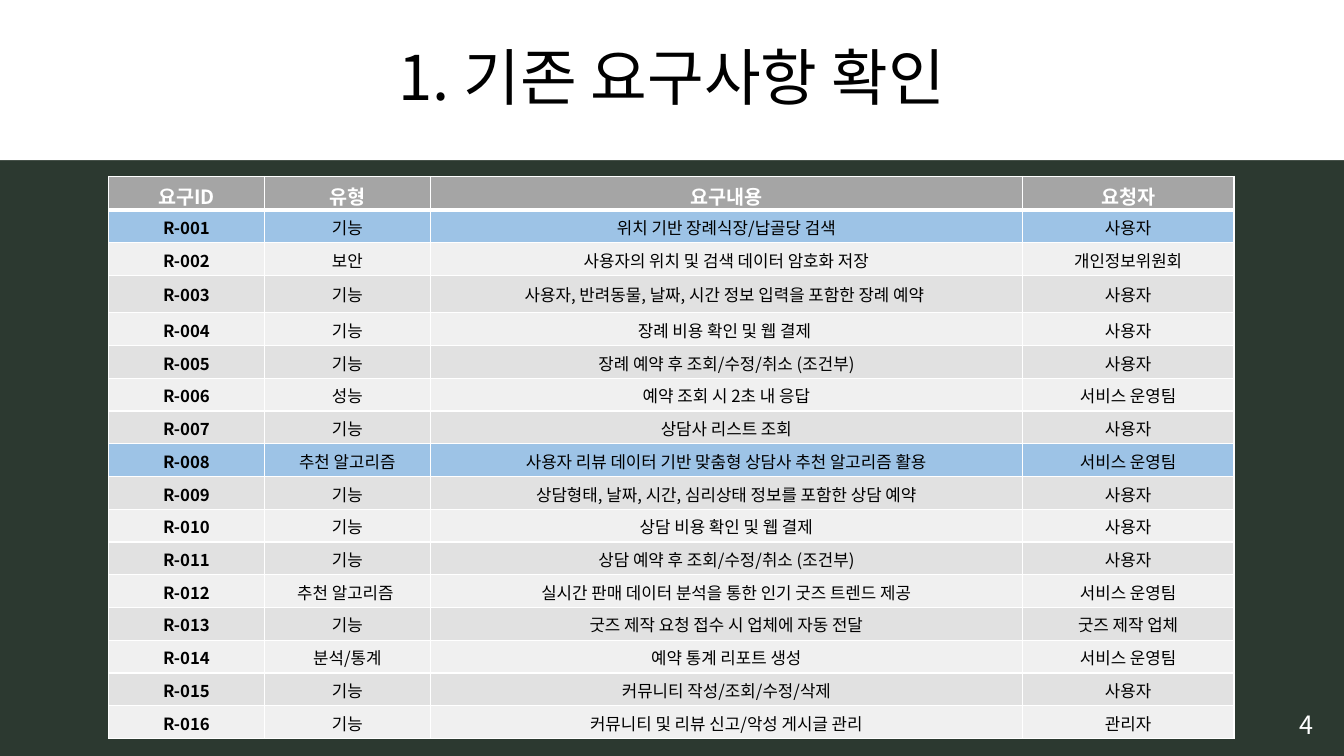
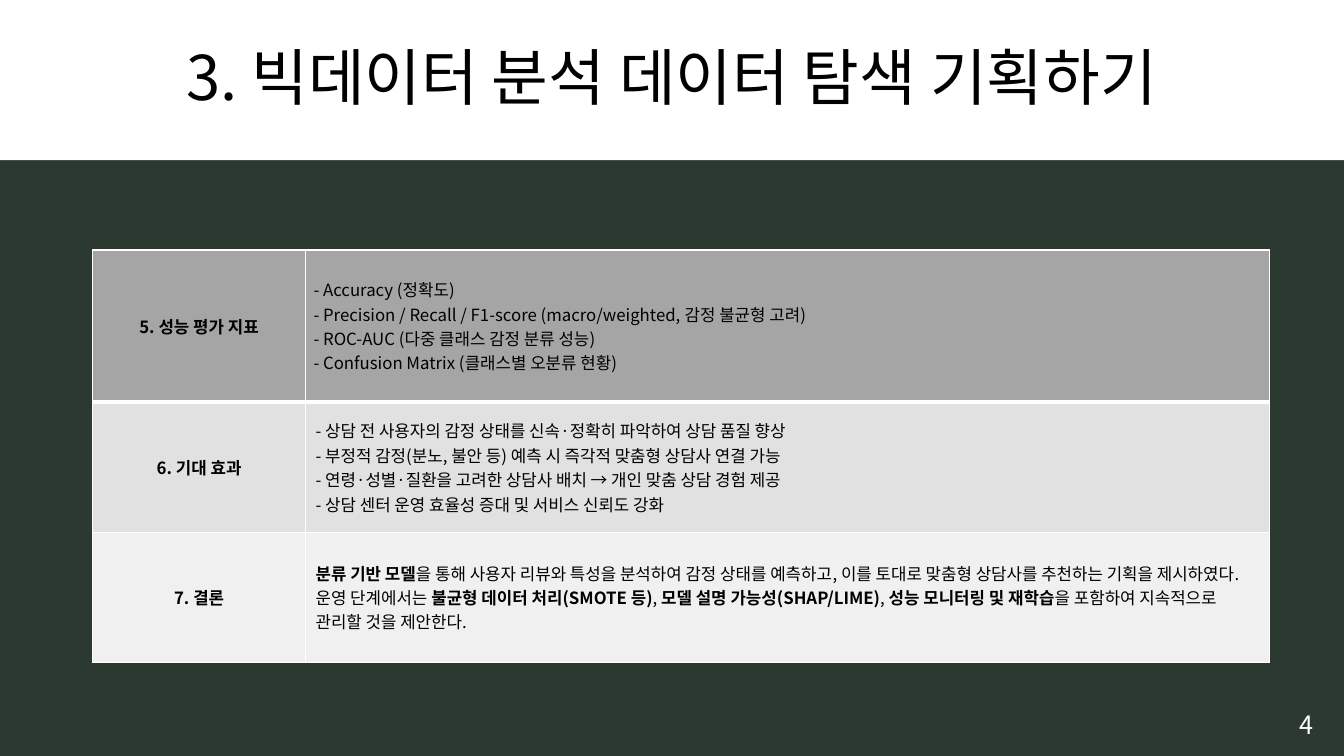
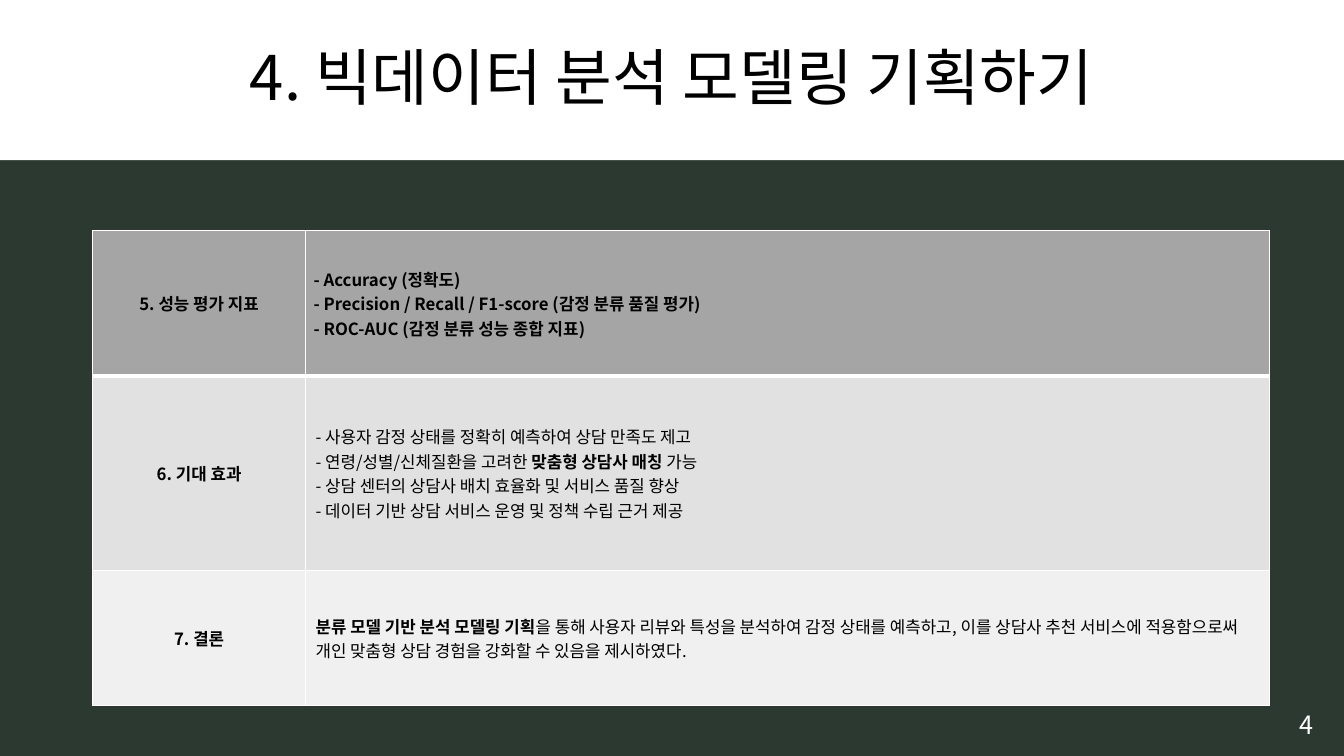
import lxml.etree
import pptx
import pptx.dml.color
import pptx.enum.shapes
import pptx.enum.text
import pptx.oxml.ns
import pptx.util

Inches = pptx.util.Inches
Pt = pptx.util.Pt
RGBColor = pptx.dml.color.RGBColor
ALIGN = pptx.enum.text.PP_ALIGN
MIDDLE = pptx.enum.text.MSO_ANCHOR.MIDDLE
qn = pptx.oxml.ns.qn

FONT = "Noto Sans CJK KR"
GREEN = RGBColor(0x2C, 0x39, 0x30)
WHITE = RGBColor(0xFF, 0xFF, 0xFF)
BLACK = RGBColor(0, 0, 0)
HEADER_GRAY = RGBColor(0xA5, 0xA5, 0xA5)
BAND_GRAYS = (RGBColor(0xF0, 0xF0, 0xF0), RGBColor(0xE1, 0xE1, 0xE1))
HIGHLIGHT_BLUE = RGBColor(0x9D, 0xC3, 0xE6)

SLIDE_WIDTH, SLIDE_HEIGHT = 13.33, 7.5
PAGE_NUMBER = "4"

REQUIREMENTS_TITLE = "1. 기존 요구사항 확인"
REQUIREMENT_HEADINGS = ("요구ID", "유형", "요구내용", "요청자")
REQUIREMENTS = [
    ("기능", "위치 기반 장례식장/납골당 검색", "사용자"),
    ("보안", "사용자의 위치 및 검색 데이터 암호화 저장", "개인정보위원회"),
    ("기능", "사용자, 반려동물, 날짜, 시간 정보 입력을 포함한 장례 예약 ", "사용자"),
    ("기능", "장례 비용 확인 및 웹 결제 ", "사용자"),
    ("기능", "장례 예약 후 조회/수정/취소 (조건부)", "사용자"),
    ("성능", "예약 조회 시 2초 내 응답", "서비스 운영팀"),
    ("기능", "상담사 리스트 조회", "사용자"),
    ("추천 알고리즘", "사용자 리뷰 데이터 기반 맞춤형 상담사 추천 알고리즘 활용", "서비스 운영팀"),
    ("기능", "상담형태, 날짜, 시간, 심리상태 정보를 포함한 상담 예약", "사용자"),
    ("기능", "상담 비용 확인 및 웹 결제", "사용자"),
    ("기능", "상담 예약 후 조회/수정/취소 (조건부)", "사용자"),
    ("추천 알고리즘 ", "실시간 판매 데이터 분석을 통한 인기 굿즈 트렌드 제공", "서비스 운영팀"),
    ("기능", "굿즈 제작 요청 접수 시 업체에 자동 전달", "굿즈 제작 업체"),
    ("분석/통계", "예약 통계 리포트 생성", "서비스 운영팀"),
    ("기능", "커뮤니티 작성/조회/수정/삭제", "사용자"),
    ("기능", "커뮤니티 및 리뷰 신고/악성 게시글 관리", "관리자"),
]
HIGHLIGHTED_ROWS = (1, 8)
REQUIREMENT_COLUMNS = (1.54, 1.65, 5.87, 2.1)
REQUIREMENTS_HEIGHT = 5.57
TALL_ROW, TALL_ROW_HEIGHT = 3, 0.37

# Text between ** marks is bold.
PLAN_LABELS = ("5. 성능 평가 지표", "6. 기대 효과", "7. 결론")
PLAN_COLUMNS = (2.11, 9.56)
PLANS = [
    {
        "title": "3. 빅데이터 분석 데이터 탐색 기획하기",
        "top": 2.48,
        "row_heights": (1.51, 1.29, 1.29),
        "details": (
            "- Accuracy (정확도)\n"
            "- Precision / Recall / F1-score (macro/weighted, 감정 불균형 고려)\n"
            "- ROC-AUC (다중 클래스 감정 분류 성능)\n"
            "- Confusion Matrix (클래스별 오분류 현황)",
            "- 상담 전 사용자의 감정 상태를 신속·정확히 파악하여 상담 품질 향상\n"
            "- 부정적 감정(분노, 불안 등) 예측 시 즉각적 맞춤형 상담사 연결 가능\n"
            "- 연령·성별·질환을 고려한 상담사 배치 → 개인 맞춤 상담 경험 제공\n"
            "- 상담 센터 운영 효율성 증대 및 서비스 신뢰도 강화",
            "**분류 기반 모델**을 통해 사용자 리뷰와 특성을 분석하여 감정 상태를 예측하고, "
            "이를 토대로 맞춤형 상담사를 추천하는 기획을 제시하였다. 운영 단계에서는 "
            "**불균형 데이터 처리(SMOTE 등)**, **모델 설명 가능성(SHAP/LIME)**, "
            "**성능 모니터링 및 재학습**을 포함하여 지속적으로 관리할 것을 제안한다.",
        ),
    },
    {
        "title": "4. 빅데이터 분석 모델링 기획하기",
        "top": 2.29,
        "row_heights": (1.44, 1.93, 1.34),
        "details": (
            "**- Accuracy (정확도)\n"
            "- Precision / Recall / F1-score (감정 분류 품질 평가)\n"
            "- ROC-AUC (감정 분류 성능 종합 지표)**",
            "- 사용자 감정 상태를 정확히 예측하여 상담 만족도 제고\n"
            "- 연령/성별/신체질환을 고려한 **맞춤형 상담사 매칭** 가능\n"
            "- 상담 센터의 상담사 배치 효율화 및 서비스 품질 향상\n"
            "- 데이터 기반 상담 서비스 운영 및 정책 수립 근거 제공",
            "**분류 모델 기반 분석 모델링 기획**을 통해 사용자 리뷰와 특성을 분석하여 "
            "감정 상태를 예측하고, 이를 상담사 추천 서비스에 적용함으로써 개인 맞춤형 "
            "상담 경험을 강화할 수 있음을 제시하였다.",
        ),
    },
]


def write(frame, text, size, color, align=ALIGN.CENTER):
    """Write one paragraph; ** toggles bold and a newline breaks the line."""
    paragraph = frame.paragraphs[0]
    paragraph.alignment = align
    for part, segment in enumerate(text.split("**")):
        for line_index, line in enumerate(segment.split("\n")):
            if line_index:
                paragraph.add_line_break()
            if not line:
                continue
            run = paragraph.add_run()
            run.text = line
            run.font.size = Pt(size)
            run.font.bold = part % 2 == 1
            run.font.color.rgb = color
            run.font.name = FONT
            east_asian = lxml.etree.SubElement(run.font._element, qn("a:ea"))
            east_asian.set("typeface", FONT)
    return paragraph


def add_titled_slide(deck, title):
    slide = deck.slides.add_slide(deck.slide_layouts[6])
    band = slide.shapes.add_shape(
        pptx.enum.shapes.MSO_SHAPE.RECTANGLE, 0, 0, Inches(SLIDE_WIDTH), Inches(1.59))
    band.shadow.inherit = False
    band.fill.solid()
    band.fill.fore_color.rgb = WHITE
    band.line.fill.background()
    band.text_frame.vertical_anchor = MIDDLE
    write(band.text_frame, title, 44, BLACK).line_spacing = 0.9

    page_number = slide.shapes.add_textbox(
        Inches(12.59), Inches(6.99), Inches(0.74), Inches(0.4)).text_frame
    page_number.word_wrap = True
    write(page_number, PAGE_NUMBER, 18, WHITE)
    return slide


def set_borders(cell, row):
    """Draw white borders, with a thick line under the first row."""
    properties = cell._tc.get_or_add_tcPr()
    thick_side = {0: "B", 1: "T"}.get(row)
    for position, side in enumerate("LRTB"):
        border = lxml.etree.Element(qn(f"a:ln{side}"))
        border.set("w", str(Pt(3 if side == thick_side else 1)))
        fill = lxml.etree.SubElement(border, qn("a:solidFill"))
        lxml.etree.SubElement(fill, qn("a:srgbClr")).set("val", str(WHITE))
        properties.insert(position, border)


def add_grid(slide, left, top, column_widths, row_heights):
    table = slide.shapes.add_table(
        len(row_heights), len(column_widths), Inches(left), Inches(top),
        Inches(sum(column_widths)), Inches(sum(row_heights))).table
    table.horz_banding = False
    for column, width in zip(table.columns, column_widths):
        column.width = Inches(width)
    for row, height in zip(table.rows, row_heights):
        row.height = Inches(height)
    return table


def fill_cell(table, row, column, text, size=12, color=BLACK,
              align=ALIGN.CENTER, highlighted=False):
    cell = table.cell(row, column)
    cell.vertical_anchor = MIDDLE
    cell.fill.solid()
    if highlighted:
        cell.fill.fore_color.rgb = HIGHLIGHT_BLUE
    else:
        cell.fill.fore_color.rgb = BAND_GRAYS[row % 2] if row else HEADER_GRAY
    set_borders(cell, row)
    write(cell.text_frame, text, size, color, align)
    return cell


def add_requirements_slide(deck):
    slide = add_titled_slide(deck, REQUIREMENTS_TITLE)
    row_height = (REQUIREMENTS_HEIGHT - TALL_ROW_HEIGHT) / len(REQUIREMENTS)
    heights = [TALL_ROW_HEIGHT if row == TALL_ROW else row_height
               for row in range(len(REQUIREMENTS) + 1)]
    table = add_grid(slide, 1.08, 1.75, REQUIREMENT_COLUMNS, heights)
    for column, heading in enumerate(REQUIREMENT_HEADINGS):
        fill_cell(table, 0, column, f"**{heading}**", 14, WHITE)
    for row, requirement in enumerate(REQUIREMENTS, 1):
        for column, text in enumerate((f"**R-{row:03}**", *requirement)):
            fill_cell(table, row, column, text, highlighted=row in HIGHLIGHTED_ROWS)


def add_plan_slide(deck, plan):
    slide = add_titled_slide(deck, plan["title"])
    table = add_grid(slide, 0.92, plan["top"], PLAN_COLUMNS, plan["row_heights"])
    for row, (label, detail) in enumerate(zip(PLAN_LABELS, plan["details"])):
        fill_cell(table, row, 0, f"**{label}**")
        detail_cell = fill_cell(table, row, 1, detail, align=ALIGN.LEFT)
        if row == 0:
            detail_cell.margin_left = detail_cell.margin_right = Inches(0.08)
            detail_cell.margin_top = detail_cell.margin_bottom = Inches(0.08)


def main():
    deck = pptx.Presentation()
    deck.slide_width = Inches(SLIDE_WIDTH)
    deck.slide_height = Inches(SLIDE_HEIGHT)
    background = deck.slide_master.background.fill
    background.solid()
    background.fore_color.rgb = GREEN
    add_requirements_slide(deck)
    for plan in PLANS:
        add_plan_slide(deck, plan)
    deck.save("out.pptx")


if __name__ == "__main__":
    main()
